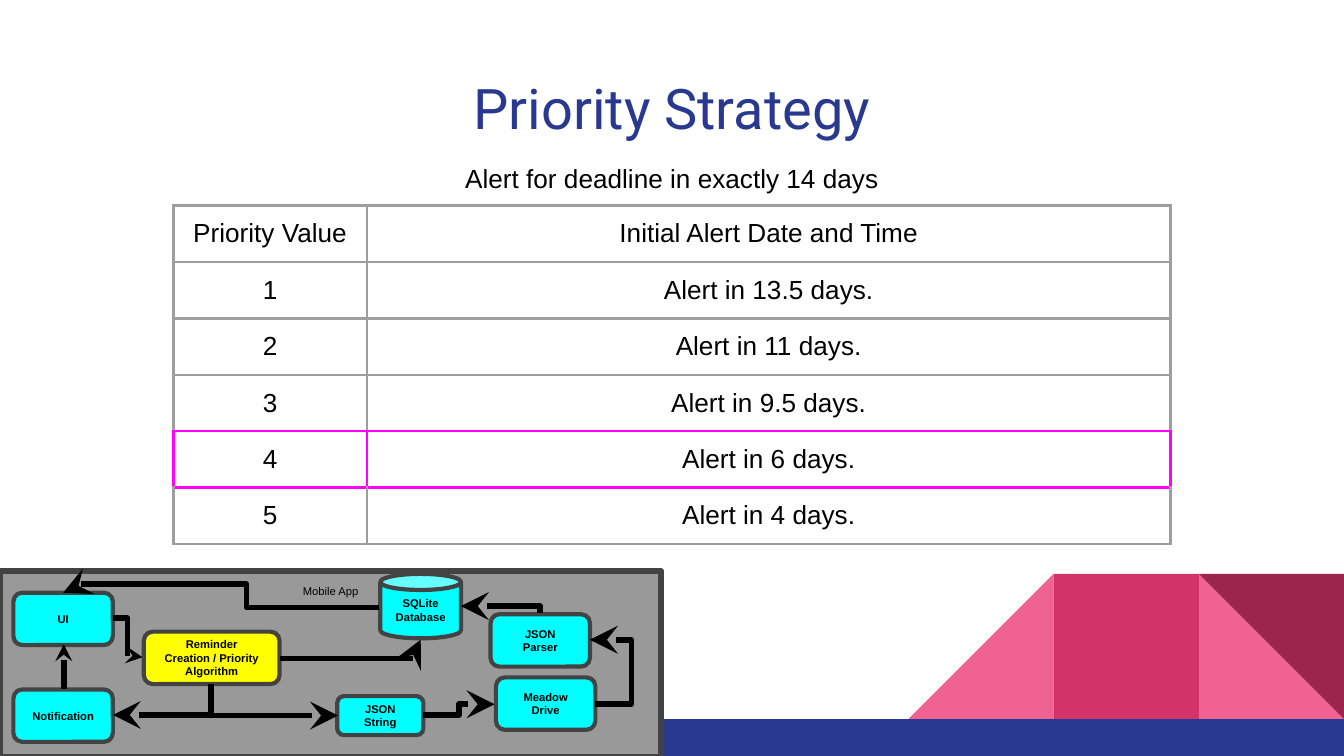
from dataclasses import dataclass
from typing import NamedTuple

from lxml import etree
from pptx import Presentation
from pptx.dml.color import RGBColor
from pptx.enum.shapes import MSO_CONNECTOR, MSO_SHAPE
from pptx.enum.text import MSO_ANCHOR, PP_ALIGN
from pptx.oxml.ns import qn
from pptx.util import Inches, Pt

RECTANGLE = MSO_SHAPE.RECTANGLE
TRIANGLE = MSO_SHAPE.RIGHT_TRIANGLE
ROUNDED = MSO_SHAPE.ROUNDED_RECTANGLE
CAN = MSO_SHAPE.CAN
ELBOW = MSO_CONNECTOR.ELBOW
CENTER = PP_ALIGN.CENTER
TOP, MIDDLE = MSO_ANCHOR.TOP, MSO_ANCHOR.MIDDLE


@dataclass(frozen=True)
class Theme:
    title_font: str = "Roboto"
    body_font: str = "Arial"
    title_size: float = 30
    body_size: float = 14
    label_size: float = 6
    inset: float = 0.1
    cell_bottom: float = 0.08
    navy: str = "2A3990"
    pink: str = "F06292"
    rose: str = "D23369"
    maroon: str = "9C254D"
    black: str = "000000"
    panel: str = "999999"
    outline: str = "434343"
    cyan: str = "00FFFF"
    yellow: str = "FFFF00"
    grid: str = "9E9E9E"
    highlight: str = "FF00FF"
    grid_width: float = 1.5
    node_width: float = 2.25
    heavy_width: float = 3


THEME = Theme()


class Box(NamedTuple):
    left: float
    top: float
    width: float
    height: float


class Node(NamedTuple):
    label: str
    box: Box
    kind: int = ROUNDED
    fill: str = THEME.cyan


class Arrow(NamedTuple):
    box: Box
    rotation: int
    flip: bool
    preset: str
    adjustments: tuple = ()
    head: str = "lg"


def lengths(box: Box) -> list:
    return [Inches(value) for value in box]


def write_text(frame, text: str, size: float, font: str = THEME.body_font,
               color: str = THEME.black, bold: bool = False, anchor=TOP) -> None:
    frame.word_wrap = True
    frame.vertical_anchor = anchor
    frame.margin_left = frame.margin_right = Inches(THEME.inset)
    frame.margin_top = frame.margin_bottom = Inches(THEME.inset)
    add_run(frame.paragraphs[0], text, size, font, color, bold)


def add_run(para, text: str, size: float, font: str, color: str, bold: bool) -> None:
    para.alignment = CENTER
    span = para.add_run()
    span.text = text
    span.font.name = font
    span.font.size = Pt(size)
    span.font.bold = bold
    span.font.color.rgb = RGBColor.from_string(color)


def add_block(page, kind, box: Box, fill: str, line_width: float = 0):
    shape = page.shapes.add_shape(kind, *lengths(box))
    shape.shadow.inherit = False
    shape.fill.solid()
    shape.fill.fore_color.rgb = RGBColor.from_string(fill)
    if line_width:
        shape.line.color.rgb = RGBColor.from_string(THEME.outline)
        shape.line.width = Pt(line_width)
    else:
        shape.line.fill.background()
    return shape


def add_node(page, node: Node) -> None:
    shape = add_block(page, node.kind, node.box, node.fill, THEME.node_width)
    shape.adjustments[0] = 0.25 if node.kind == CAN else 0.17
    write_text(shape.text_frame, node.label, THEME.label_size, bold=True, anchor=MIDDLE)


def add_arrow(page, arrow: Arrow) -> None:
    left, top, width, height = lengths(arrow.box)
    connector = page.shapes.add_connector(ELBOW, left, top, left + width, top + height)
    connector.line.color.rgb = RGBColor.from_string(THEME.black)
    connector.line.width = Pt(THEME.heavy_width)
    properties = connector._element.spPr
    frame = properties.find(qn("a:xfrm"))
    frame.set("rot", str(arrow.rotation * 60000))
    if arrow.flip:
        frame.set("flipH", "1")
    geometry = properties.find(qn("a:prstGeom"))
    geometry.set("prst", arrow.preset)
    guides = geometry.find(qn("a:avLst"))
    for number, value in enumerate(arrow.adjustments, 1):
        etree.SubElement(guides, qn("a:gd"), name=f"adj{number}",
                         fmla=f"val {round(value * 100000)}")
    etree.SubElement(properties.find(qn("a:ln")), qn("a:tailEnd"),
                     type="stealth", w=arrow.head, len=arrow.head)
    etree.SubElement(properties, qn("a:effectLst"))


def set_borders(cell, colors: dict) -> None:
    properties = cell._tc.get_or_add_tcPr()
    for side, color in colors.items():
        line = etree.SubElement(properties, qn(f"a:ln{side}"), w=str(Pt(THEME.grid_width)))
        fill = etree.SubElement(line, qn("a:solidFill"))
        etree.SubElement(fill, qn("a:srgbClr"), val=color)


def add_priority_table(page, rows: list, marked: int) -> None:
    widths, row_height = (1.44, 5.98), 0.42
    box = Box(1.29, 1.53, sum(widths), row_height * len(rows))
    table = page.shapes.add_table(len(rows), len(widths), *lengths(box)).table
    table.first_row = table.horz_banding = False
    for column, width in zip(table.columns, widths):
        column.width = Inches(width)
    for index, texts in enumerate(rows):
        table.rows[index].height = Inches(row_height)
        colors = dict.fromkeys("LRTB", THEME.grid)
        if index == marked:
            colors = dict.fromkeys("LRTB", THEME.highlight)
        elif index == marked - 1:
            colors["B"] = THEME.highlight
        elif index == marked + 1:
            colors["T"] = THEME.highlight
        for cell, text in zip(table.rows[index].cells, texts):
            cell.margin_left = cell.margin_right = cell.margin_top = Inches(THEME.inset)
            cell.margin_bottom = Inches(THEME.cell_bottom)
            add_run(cell.text_frame.paragraphs[0], text, THEME.body_size,
                    THEME.body_font, THEME.black, False)
            set_borders(cell, colors)
            cell.fill.background()


def add_corner_art(page) -> None:
    side, top, right = 1.08, 4.27, 8.92
    add_block(page, TRIANGLE, Box(right, top, side, side), THEME.pink)
    slope = add_block(page, TRIANGLE, Box(right - 2 * side, top, side, side), THEME.pink)
    slope._element.spPr.find(qn("a:xfrm")).set("flipH", "1")
    add_block(page, RECTANGLE, Box(right - side, top, side, side), THEME.rose)
    add_block(page, TRIANGLE, Box(right, top, side, side), THEME.maroon).rotation = 180
    add_block(page, RECTANGLE, Box(0, 5.35, 10, 0.28), THEME.navy)


ALERTS = ["13.5", "11", "9.5", "6", "4"]
NODES = [
    Node("Notification", Box(0.1, 5.13, 0.74, 0.39)),
    Node("JSON String", Box(2.51, 5.18, 0.64, 0.29)),
    Node("UI", Box(0.1, 4.41, 0.74, 0.39)),
    Node("Reminder Creation / Priority Algorithm", Box(1.07, 4.7, 1.01, 0.39),
         fill=THEME.yellow),
    Node("SQLite Database", Box(2.83, 4.27, 0.6, 0.48), CAN),
    Node("Meadow Drive", Box(3.69, 5.04, 0.74, 0.39)),
    Node("JSON Parser", Box(3.65, 4.57, 0.74, 0.39)),
]
ARROWS = [
    Arrow(Box(0.31, 4.96, 0.33, 0), 270, False, "bentConnector3", (0.5,), "med"),
    Arrow(Box(0.84, 4.6, 0.22, 0.29), 0, False, "bentConnector3", (0.5,), "med"),
    Arrow(Box(2.08, 4.76, 1.05, 0.14), 180, True, "bentConnector2"),
    Arrow(Box(1.93, 4.74, 0.23, 0.94), 270, True, "bentConnector2"),
    Arrow(Box(3.15, 5.24, 0.53, 0.08), 180, True, "bentConnector3", (0.5,)),
    Arrow(Box(4.39, 4.76, 0.04, 0.48), 180, False, "bentConnector3", (-6.66,)),
    Arrow(Box(3.7, 4.24, 0.05, 0.59), 90, True, "bentConnector2"),
    Arrow(Box(0.47, 4.41, 2.35, 0.11), 180, False, "bentConnector4", (0.42, 1.59)),
    Arrow(Box(1.09, 4.84, 0.23, 0.73), 90, False, "bentConnector2"),
]


def main() -> None:
    deck = Presentation()
    deck.slide_width, deck.slide_height = Inches(10), Inches(10 * 9 / 16)
    page = deck.slides.add_slide(deck.slide_layouts[6])
    add_corner_art(page)

    # Title, table and its caption
    title = page.shapes.add_textbox(*lengths(Box(0.34, 0.45, 9.32, 0.66)))
    write_text(title.text_frame, "Priority Strategy", THEME.title_size,
               THEME.title_font, THEME.navy)
    rows = [("Priority Value", "Initial Alert Date and Time")]
    rows += [(str(value), f"Alert in {days} days.") for value, days in enumerate(ALERTS, 1)]
    add_priority_table(page, rows, marked=4)
    caption = page.shapes.add_textbox(*lengths(Box(1.29, 1.11, 7.42, 0.68)))
    write_text(caption.text_frame, "Alert for deadline in exactly 14 days", THEME.body_size)

    # Architecture diagram
    panel = add_block(page, RECTANGLE, Box(0, 4.25, 4.92, 1.38), THEME.panel, THEME.heavy_width)
    write_text(panel.text_frame, "Mobile App", THEME.label_size)
    for node in NODES:
        add_node(page, node)
    for arrow in ARROWS:
        add_arrow(page, arrow)

    deck.save("out.pptx")


if __name__ == "__main__":
    main()
